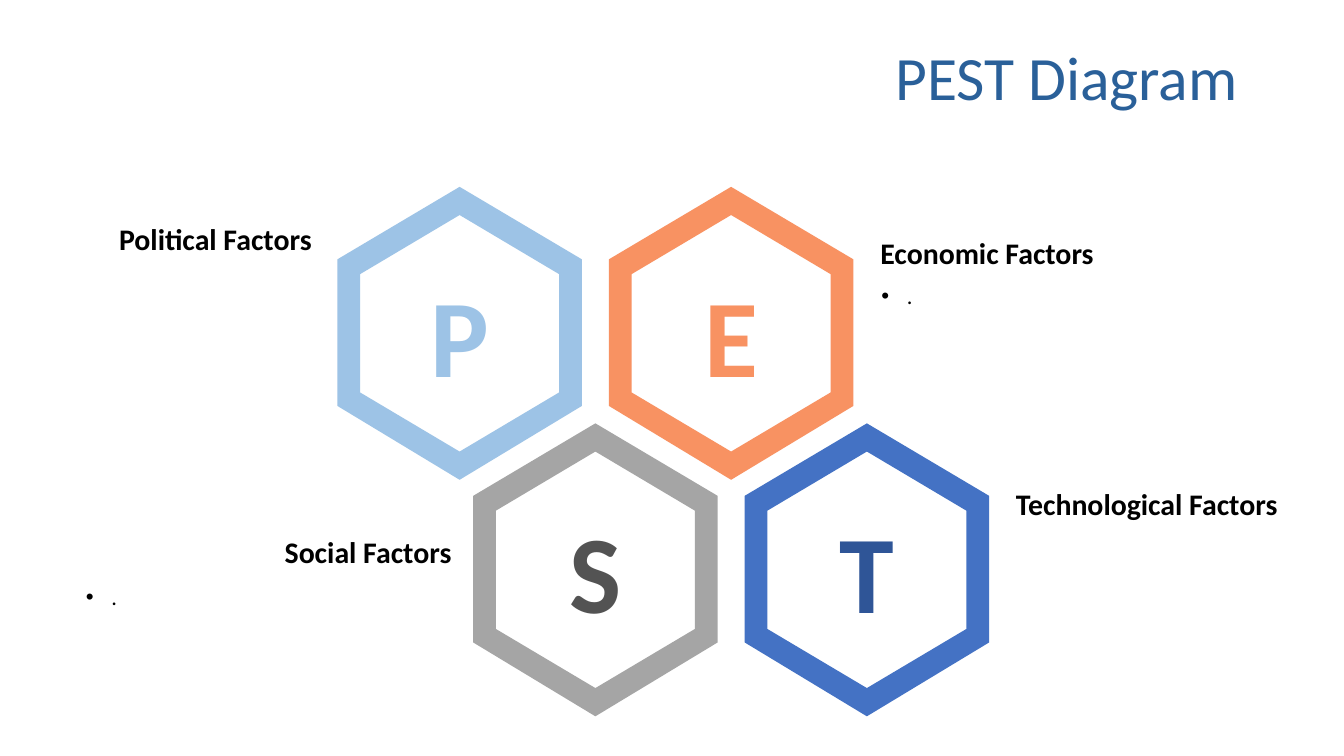
from lxml import etree
from pptx import Presentation
from pptx import util as u
from pptx.dml.color import RGBColor
from pptx.enum import text
from pptx.oxml.ns import qn

SCALE = u.Inches(1) // 100  # EMU per px, 100 px to the inch
FONT = "Calibri"
BLACK = "000000"
LEFT, RIGHT, CENTER = text.PP_ALIGN.LEFT, text.PP_ALIGN.RIGHT, text.PP_ALIGN.CENTER
TOP, MIDDLE, BOTTOM = text.MSO_ANCHOR.TOP, text.MSO_ANCHOR.MIDDLE, text.MSO_ANCHOR.BOTTOM

# Honeycomb: hexagon size, ring thickness and spacing
HEX_WIDTH, HEX_HEIGHT = 182, 218
RING_SIDE, RING_TOP = 17, 21
PITCH_X, PITCH_Y = 202, 176


def px(length):
    return u.Emu(length * SCALE)


def color(value):
    return RGBColor.from_string(value)


def write(shape, words, size, ink, align, anchor, insets=(10, 5, 10, 5), bold=False):
    """Put one formatted paragraph in a shape; insets are left, top, right, bottom."""
    frame = shape.text_frame
    frame.word_wrap = True
    frame.auto_size = text.MSO_AUTO_SIZE.NONE
    frame.vertical_anchor = anchor
    frame.margin_left, frame.margin_top, frame.margin_right, frame.margin_bottom = map(px, insets)
    frame.text = words
    para = frame.paragraphs[0]
    para.alignment = align
    font = para.runs[0].font
    font.name, font.size, font.bold = FONT, u.Pt(size), bold
    font.color.rgb = color(ink)
    return para


def add_title(page, box, words):
    title = page.shapes.title
    title.left, title.top, title.width, title.height = map(px, box)
    para = write(title, words, 33, "2A6099", RIGHT, TOP)
    para.line_spacing = 0.9


def hexagon_points(left, top, width, height):
    """Corners of an upright hexagon, starting at the top."""
    middle, right = left + width // 2, left + width
    upper, lower = top + height // 4, top + height * 3 // 4
    return [(middle, top), (left, upper), (left, lower),
            (middle, top + height), (right, lower), (right, upper)]


def add_hexagon(page, left, top, letter, fill, ink, opacity):
    outer = hexagon_points(left, top, HEX_WIDTH, HEX_HEIGHT)
    inner = hexagon_points(left + RING_SIDE, top + RING_TOP,
                           HEX_WIDTH - 2 * RING_SIDE, HEX_HEIGHT - 2 * RING_TOP)
    inner = inner[:1] + inner[:0:-1]  # wound the other way, so it is a hole
    builder = page.shapes.build_freeform(*outer[0], scale=SCALE)
    builder.add_line_segments(outer[1:], close=True)
    builder.move_to(*inner[0])
    builder.add_line_segments(inner[1:], close=True)
    ring = builder.convert_to_shape()
    ring.shadow.inherit = False
    ring.line.fill.background()
    ring.fill.solid()
    ring.fill.fore_color.rgb = color(fill)
    if opacity < 100:
        solid = ring.fill._xPr.find(qn("a:solidFill"))
        etree.SubElement(solid[0], qn("a:alpha"), val=str(opacity * 1000))
    write(ring, letter, 59.1, ink, CENTER, MIDDLE, (6, 3, 6, 3), bold=True)


def add_honeycomb(page, left, top):
    """Two rows of two hexagons, the lower row half a step to the right."""
    cells = [
        (0, 0, "P", "9DC3E6", "9DC3E6", 100),
        (0, 1, "E", "F67031", "F89262", 76),
        (1, 0, "S", "A5A5A5", "535353", 100),
        (1, 1, "T", "4472C4", "2F5597", 100),
    ]
    for row, column, *look in cells:
        x = left + column * PITCH_X + row * PITCH_X // 2
        add_hexagon(page, x, top + row * PITCH_Y, *look)


def add_heading(page, box, words, align):
    heading = page.shapes.add_textbox(*map(px, box))
    write(heading, words, 16, BLACK, align, BOTTOM, (0, 5, 0, 5), bold=True)


def add_bullet(page, box, words):
    bullet_box = page.shapes.add_textbox(*map(px, box))
    para = write(bullet_box, words, 12, BLACK, LEFT, TOP)
    props = para._p.get_or_add_pPr()
    props.set("marL", str(px(19)))
    props.set("indent", str(px(-19)))
    bullet_color = etree.SubElement(props, qn("a:buClr"))
    etree.SubElement(bullet_color, qn("a:srgbClr"), val=BLACK)
    etree.SubElement(props, qn("a:buFont"), typeface="Arial")
    etree.SubElement(props, qn("a:buChar"), char="•")


def main():
    deck = Presentation()
    deck.slide_width = px(1000)
    deck.slide_height = deck.slide_width * 9 // 16
    page = deck.slides.add_slide(deck.slide_layouts[5])

    add_title(page, (69, 30, 862, 109), "PEST Diagram")
    add_honeycomb(page, 251, 139)

    # Factor headings beside the hexagons
    add_heading(page, (756, 357, 200, 36), "Technological Factors", LEFT)
    add_heading(page, (155, 393, 181, 36), "Social Factors", RIGHT)
    add_heading(page, (655, 170, 181, 36), "Economic Factors", LEFT)
    add_heading(page, (23, 160, 209, 36), "Political Factors", RIGHT)

    # Bulleted details
    add_bullet(page, (646, 205, 290, 160), ".")
    add_bullet(page, (54, 429, 304, 90), ".")

    deck.save("out.pptx")


if __name__ == "__main__":
    main()
